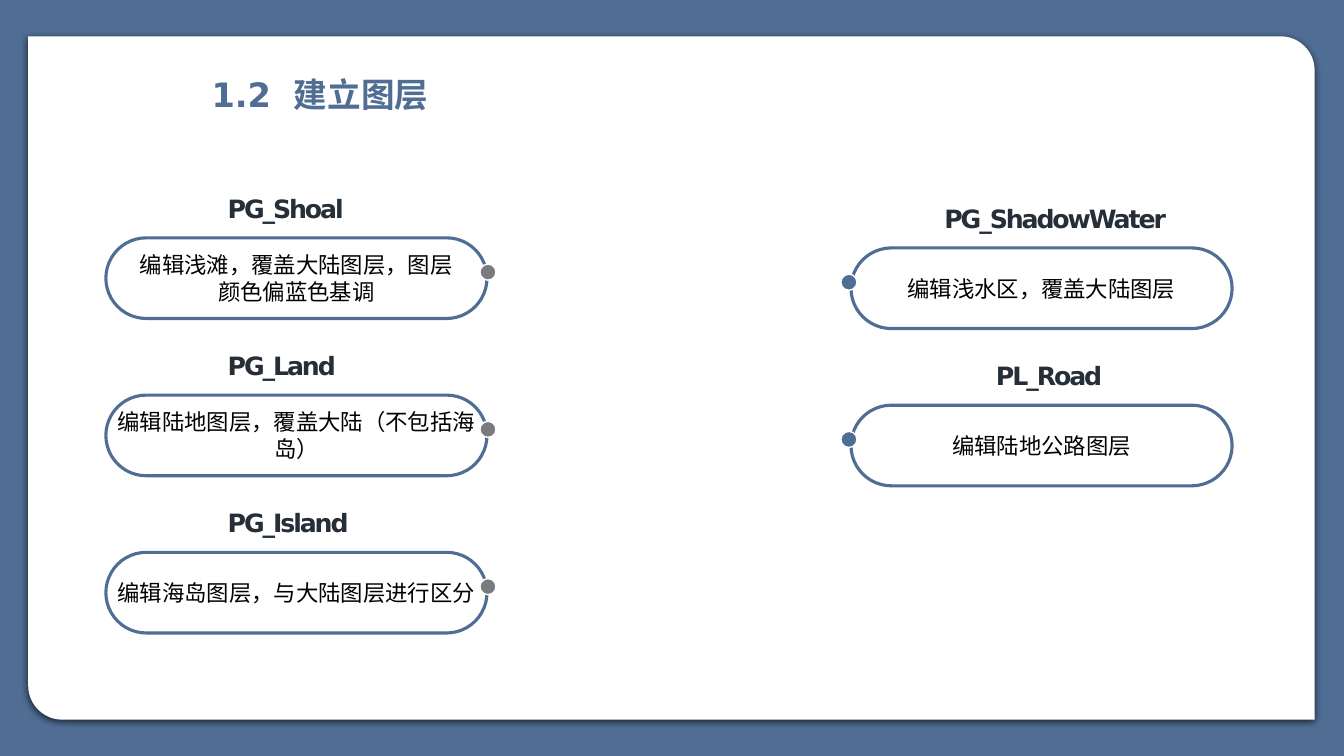
from lxml import etree
from pptx import Presentation
from pptx.dml.color import RGBColor
from pptx.enum.shapes import MSO_SHAPE as Shape
from pptx.enum.text import MSO_ANCHOR as Anchor, PP_ALIGN as Align
from pptx.oxml import parse_xml
from pptx.oxml.ns import nsdecls, qn
from pptx.util import Inches, Pt

BLUE, GREY, WHITE, INK, BLACK = "506E94", "797B7E", "FFFFFF", "262F38", "000000"
ROW_STEP = 1.56
PILL_WIDTH, PILL_HEIGHT, DOT = 3.78, 0.8, 0.16
LABEL_FORMAT = {"size": Pt(18), "bold": True, "name": "DejaVu Sans"}
DETAIL_FORMAT = {"size": Pt(16), "bold": False, "name": "DejaVu Sans"}
TITLE_FORMAT = {"size": Pt(24), "bold": True, "name": "DejaVu Sans"}


def paint(target, color):
    if hasattr(target, "solid"):
        target.solid()
        target = target.fore_color
    target.rgb = RGBColor.from_string(color)


def write(paragraph, text, color, values, spacing=0):
    run = paragraph.add_run()
    run.text = text
    for key, value in values.items():
        setattr(run.font, key, value)
    paint(run.font.color, color)
    if spacing:
        run.font._element.set("spc", str(spacing))


deck = Presentation()
deck.slide_width, deck.slide_height = Inches(13.33), Inches(7.5)
slide = deck.slides.add_slide(deck.slide_layouts[6])
paint(slide.background.fill, BLUE)
shapes = slide.shapes

panel = shapes.add_shape(Shape.ROUND_2_DIAG_RECTANGLE, Inches(0.28), Inches(0.36), Inches(12.76), Inches(6.78))
panel.adjustments[0], panel.adjustments[1] = 0, 0.05
paint(panel.fill, WHITE)
panel.line.fill.background()
panel.shadow.inherit = False
panel_effects = panel._element.spPr.find(qn("a:effectLst"))
panel_effects.append(parse_xml(
    f'<a:outerShdw {nsdecls("a")} blurRad="{Pt(4.5)}" dist="{Pt(1.5)}" dir="5400000" algn="t" rotWithShape="0">'
    f'<a:srgbClr val="{BLACK}"><a:alpha val="63000"/></a:srgbClr></a:outerShdw>'))

columns = [
    (8.44, 2.46, 8.34, BLUE, Align.CENTER, [
        ("PG_ShadowWater", 9.19, ["编辑浅水区，覆盖大陆图层"]),
        ("PL_Road", 9.13, ["编辑陆地公路图层"]),
    ]),
    (1.05, 2.36, 4.76, GREY, Align.LEFT, [
        ("PG_Shoal", 2.16, ["编辑浅滩，覆盖大陆图层，图层", "颜色偏蓝色基调"]),
        ("PG_Land", 2.16, ["编辑陆地图层，覆盖大陆（不包括海", "岛）"]),
        ("PG_Island", 2.16, ["编辑海岛图层，与大陆图层进行区分"]),
    ]),
]

for pill_left, first_top, dot_left, dot_color, label_align, layers in columns:
    for row, (layer_name, label_left, details) in enumerate(layers):
        top = first_top + row * ROW_STEP

        pill = shapes.add_shape(Shape.ROUNDED_RECTANGLE, Inches(pill_left), Inches(top),
                                Inches(PILL_WIDTH), Inches(PILL_HEIGHT))
        pill.adjustments[0] = 0.5
        dot = shapes.add_shape(Shape.OVAL, Inches(dot_left), Inches(top + 0.26), Inches(DOT), Inches(DOT))
        for part, fill, outline, weight in [(pill, WHITE, BLUE, 2.25), (dot, dot_color, WHITE, 1)]:
            paint(part.fill, fill)
            paint(part.line.fill, outline)
            part.line.width = Pt(weight)
            part.shadow.inherit = False

        pill_text = pill.text_frame
        pill_text.word_wrap = False
        pill_text.vertical_anchor = Anchor.MIDDLE
        for index, detail in enumerate(details):
            line = pill_text.add_paragraph() if index else pill_text.paragraphs[0]
            line.alignment = Align.CENTER
            indents = line._p.get_or_add_pPr()
            indents.set("marL", str(Inches(0.25)))
            indents.set("indent", str(-Inches(0.25)))
            etree.SubElement(indents, qn("a:buNone"))
            write(line, detail, BLACK, DETAIL_FORMAT)

        label = shapes.add_textbox(Inches(label_left), Inches(top - 0.55), Inches(2.55), Inches(0.55)).text_frame
        label.word_wrap = True
        label.vertical_anchor = Anchor.MIDDLE
        heading = label.paragraphs[0]
        heading.alignment = label_align
        heading.line_spacing = 0.9
        write(heading, layer_name, INK, LABEL_FORMAT, -150)

title = shapes.add_textbox(Inches(2), Inches(0.68), Inches(5.66), Inches(0.5)).text_frame
title.word_wrap = True
for piece, spacing in [("1.2", 0), (" ", 800), ("建立图层", 0)]:
    write(title.paragraphs[0], piece, BLUE, TITLE_FORMAT, spacing)

deck.save("out.pptx")
